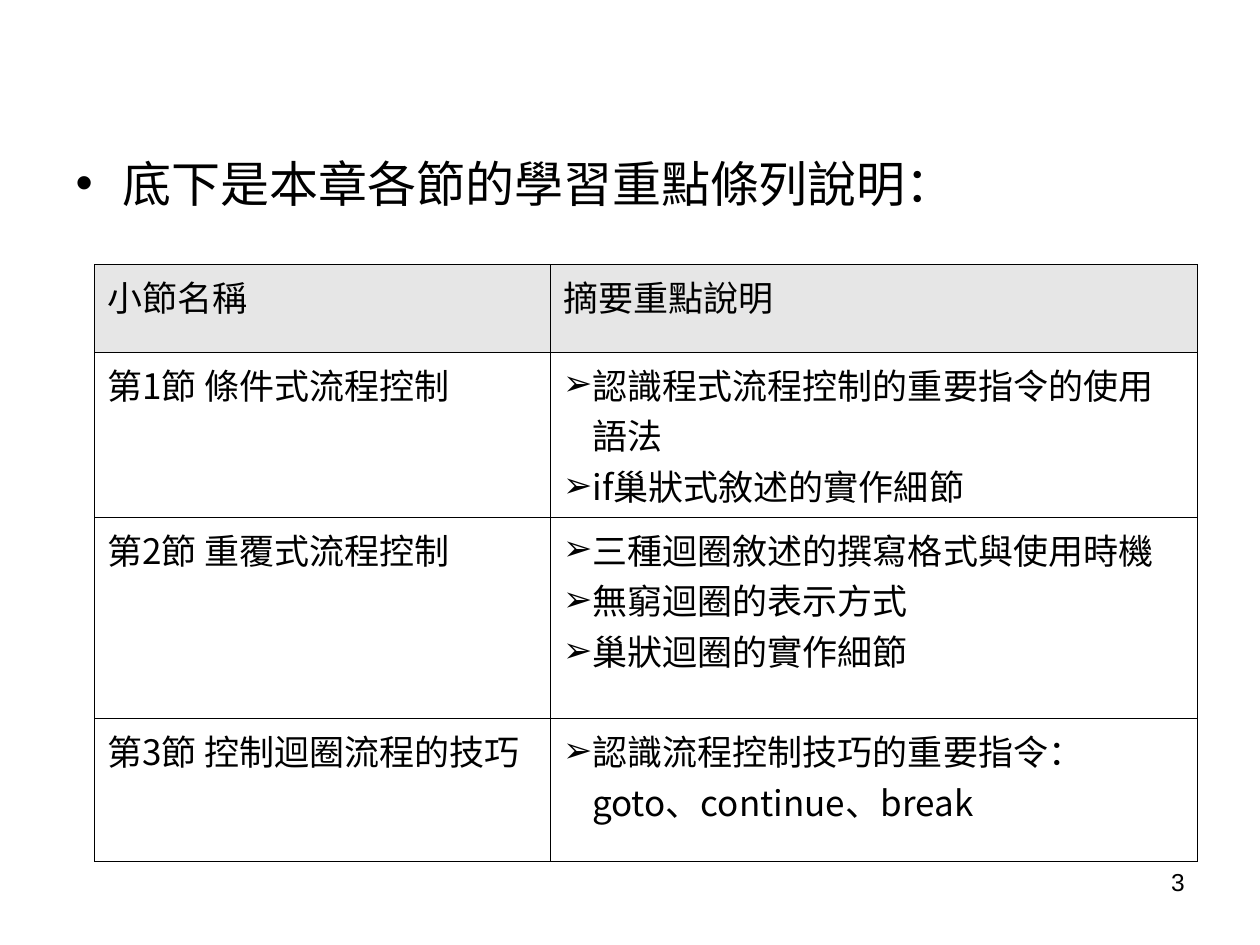
import pptx
import pptx.util
import pptx.dml.color
import pptx.enum.text
import pptx.oxml
import pptx.oxml.ns
from lxml import etree

Pt = pptx.util.Pt
qn = pptx.oxml.ns.qn
CJK = "Noto Sans CJK SC"
BLACK = "000000"
GREY = "E6E6E6"
HEADER = ("小節名稱", "摘要重點說明")
SECTIONS = [
    ("第1節 條件式流程控制",
     ["認識程式流程控制的重要指令的使用語法", "if巢狀式敘述的實作細節"]),
    ("第2節 重覆式流程控制",
     ["三種迴圈敘述的撰寫格式與使用時機", "無窮迴圈的表示方式", "巢狀迴圈的實作細節"]),
    ("第3節 控制迴圈流程的技巧",
     ["認識流程控制技巧的重要指令：goto、continue、break"]),
]
COLUMN_WIDTHS = (260.6, 369.4)
ROW_HEIGHTS = (50, 82, 115, 82)


def rgb(color):
    return pptx.dml.color.RGBColor.from_string(color)


def add_bullet(p, char, indent):
    pPr = p._p.get_or_add_pPr()
    pPr.set("marL", str(Pt(indent)))
    pPr.set("indent", str(-Pt(indent)))
    color = etree.SubElement(pPr, qn("a:buClr"))
    etree.SubElement(color, qn("a:srgbClr"), val=BLACK)
    etree.SubElement(pPr, qn("a:buFont"), typeface="Arial")
    etree.SubElement(pPr, qn("a:buChar"), char=char)


def write(p, text, size=20, font=CJK, color=BLACK, align=None, bullet=None, indent=0):
    if bullet:
        add_bullet(p, bullet, indent)
    p.space_before = Pt(0)
    p.alignment = align
    r = p.add_run()
    r.text = text
    r.font.size = Pt(size)
    r.font.bold = False
    r.font.name = font
    r.font.color.rgb = rgb(color)
    etree.SubElement(r._r.get_or_add_rPr(), qn("a:ea"), typeface=CJK)


def add_borders(cell, color=BLACK, width=0.45):
    tcPr = cell._tc.get_or_add_tcPr()
    for side in ("lnL", "lnR", "lnT", "lnB"):
        ln = etree.SubElement(tcPr, qn("a:" + side), w=str(Pt(width)))
        fill = etree.SubElement(ln, qn("a:solidFill"))
        etree.SubElement(fill, qn("a:srgbClr"), val=color)


def fill_cell(cell, lines, fill=None, **fmt):
    add_borders(cell)
    if fill:
        cell.fill.solid()
        cell.fill.fore_color.rgb = rgb(fill)
    else:
        cell.fill.background()
    tf = cell.text_frame
    for i, line in enumerate(lines):
        write(tf.add_paragraph() if i else tf.paragraphs[0], line, **fmt)


def add_intro(s):
    sp = s.placeholders[1]
    sp.left, sp.top, sp.width, sp.height = Pt(36), Pt(84), Pt(624), Pt(396)
    tf = sp.text_frame
    tf.auto_size = pptx.enum.text.MSO_AUTO_SIZE.NONE
    write(tf.paragraphs[0], "底下是本章各節的學習重點條列說明：",
          size=28, font="Arial", bullet="•", indent=27)


def add_sections(s):
    table = s.shapes.add_table(len(ROW_HEIGHTS), len(COLUMN_WIDTHS), Pt(54), Pt(151.2),
                               Pt(sum(COLUMN_WIDTHS)), Pt(sum(ROW_HEIGHTS))).table
    table.first_row = table.horz_banding = False
    for column, width in zip(table.columns, COLUMN_WIDTHS):
        column.width = Pt(width)
    for row, height in zip(table.rows, ROW_HEIGHTS):
        row.height = Pt(height)
    for i, heading in enumerate(HEADER):
        fill_cell(table.cell(0, i), [heading], fill=GREY)
    for i, (name, points) in enumerate(SECTIONS, 1):
        fill_cell(table.cell(i, 0), [name])
        fill_cell(table.cell(i, 1), points, bullet="➢", indent=16.5)


def add_page_number(s):
    tf = s.shapes.add_textbox(Pt(516), Pt(492), Pt(168), Pt(37.5)).text_frame
    tf.word_wrap = True
    write(tf.paragraphs[0], "3", size=14, font="Arial",
          align=pptx.enum.text.PP_ALIGN.RIGHT)


def main():
    prs = pptx.Presentation()
    prs.slide_width, prs.slide_height = Pt(720), Pt(540)
    s = prs.slides.add_slide(prs.slide_layouts[1])
    title = s.shapes.title._element
    title.getparent().remove(title)
    add_intro(s)
    add_sections(s)
    add_page_number(s)
    prs.save("out.pptx")


if __name__ == "__main__":
    main()
